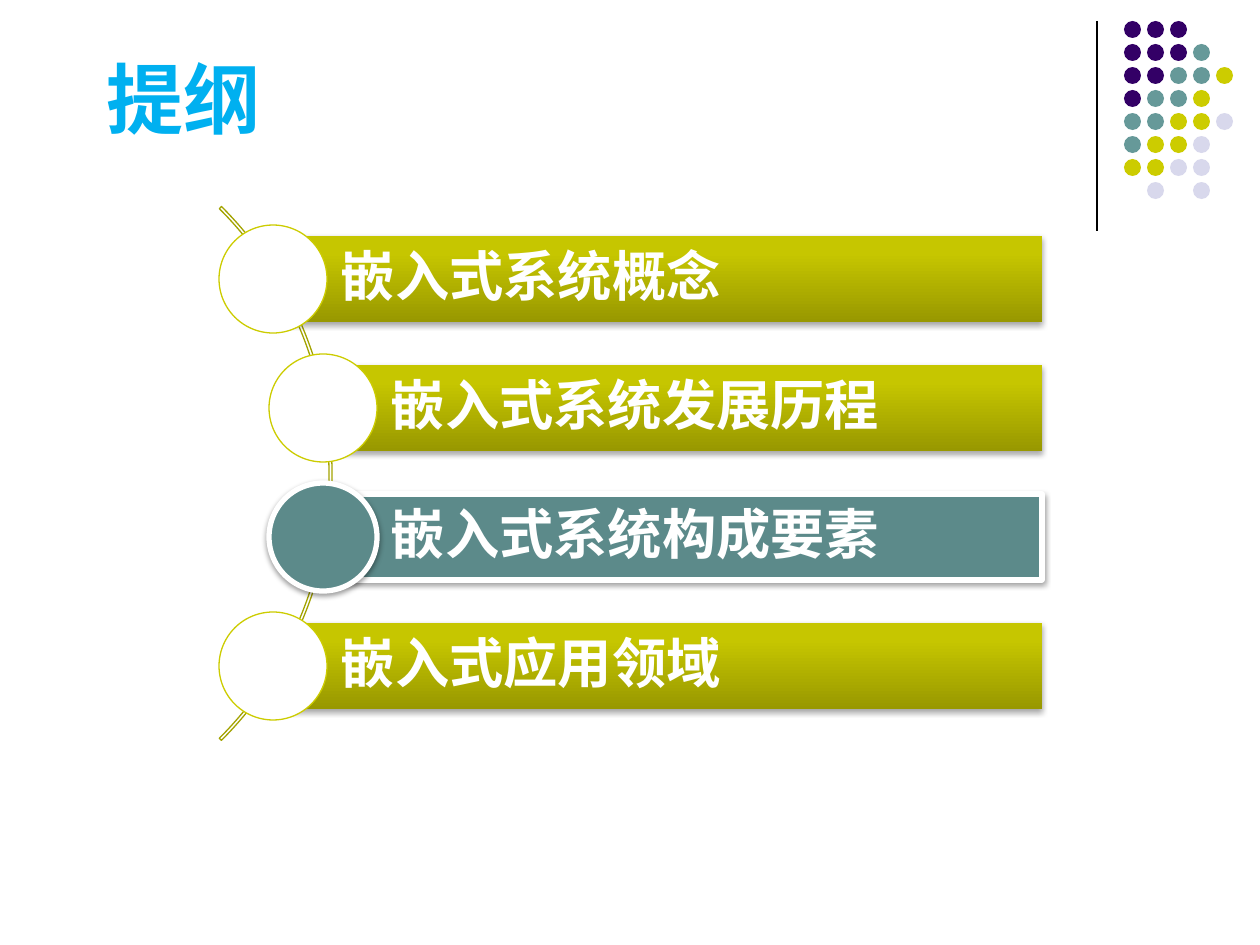
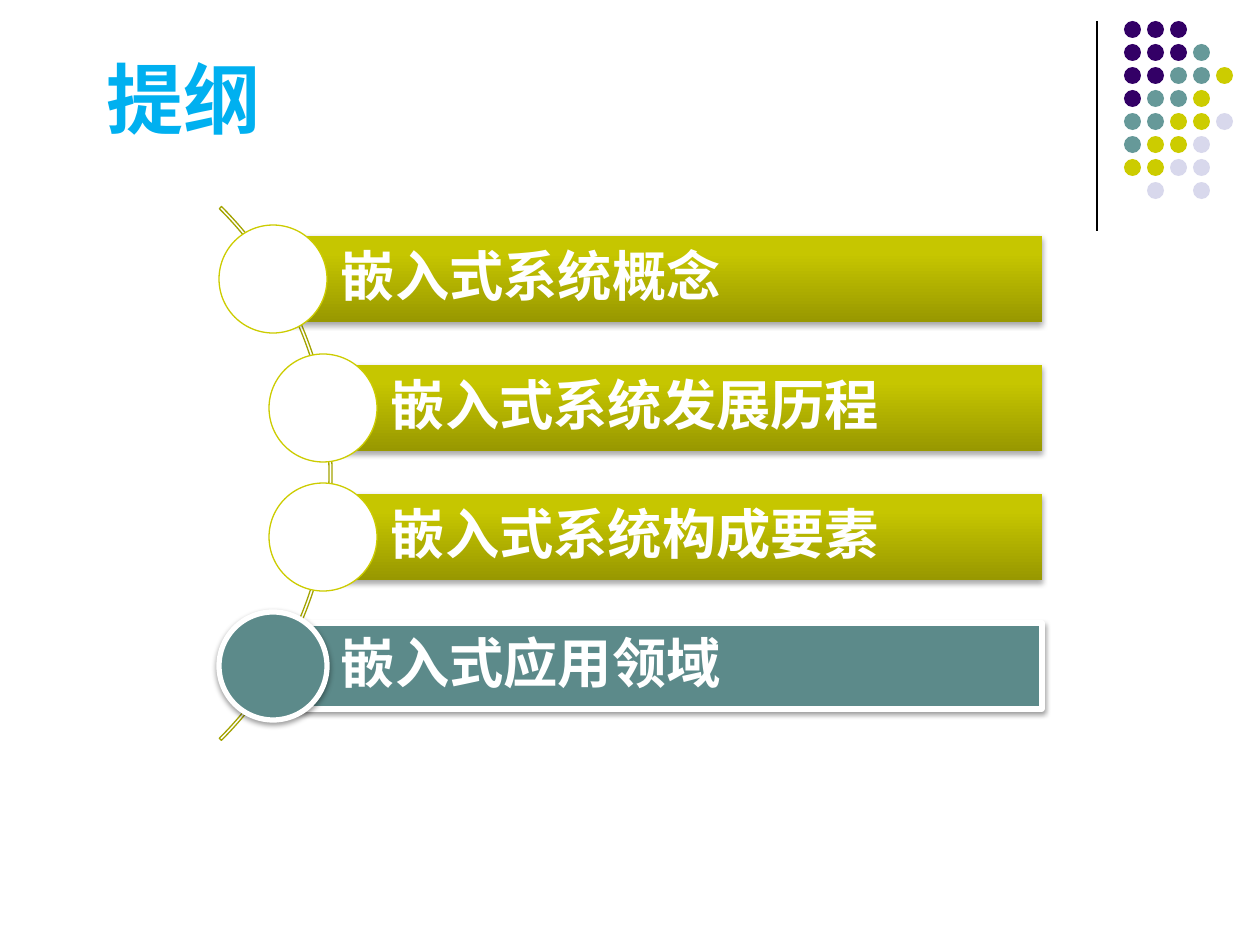
from dataclasses import dataclass
from typing import Optional

import pptx
import pptx.dml.color
import pptx.enum.shapes
import pptx.enum.text
import pptx.oxml.ns
import pptx.util
from lxml import etree

RGBColor = pptx.dml.color.RGBColor
MSO_SHAPE = pptx.enum.shapes.MSO_SHAPE
qn = pptx.oxml.ns.qn

EMU_PER_PX = 914400 / 126

WHITE = RGBColor(0xFF, 0xFF, 0xFF)
BLACK = RGBColor(0x00, 0x00, 0x00)
TITLE_BLUE = RGBColor(0x00, 0xB0, 0xF0)
PURPLE = RGBColor(0x33, 0x00, 0x66)
TEAL = RGBColor(0x66, 0x99, 0x99)
LIME = RGBColor(0xCC, 0xCC, 0x00)
LAVENDER = RGBColor(0xD8, 0xD8, 0xEC)
CURRENT_TEAL = RGBColor(0x5C, 0x8A, 0x8A)
ARC_OLIVE = RGBColor(0xA3, 0xA3, 0x00)
BAR_GRADIENT = (
    (0, RGBColor(0x98, 0x98, 0x00)),
    (80, RGBColor(0xC6, 0xC6, 0x00)),
    (100, RGBColor(0xC7, 0xC7, 0x00)),
)

LATIN_FONT = "Calibri"
CJK_FONT = "Noto Sans CJK SC"

DOT_COLORS = {"P": PURPLE, "T": TEAL, "L": LIME, "V": LAVENDER}
DOT_ROWS = ("PPP", "PPPT", "PPTTL", "PTTL", "TTLLV", "TLLV", "LLVV", ".V.V")
DOT_LEFT, DOT_TOP, DOT_PITCH, DOT_SIZE = 1124, 21, 23, 17

BAR_TOP, BAR_PITCH, BAR_HEIGHT, BAR_RIGHT = 236, 129, 86, 1042
MARKER_SIZE = 108


@dataclass(frozen=True)
class Topic:
    label: str
    left: int


@dataclass(frozen=True)
class Shadow:
    opacity: int
    distance: int  # EMU
    blur: int = 40000  # EMU


TOPICS = (
    Topic("嵌入式系统概念", 273),
    Topic("嵌入式系统发展历程", 323),
    Topic("嵌入式系统构成要素", 323),
    Topic("嵌入式应用领域", 273),
)
CURRENT_TOPICS = (2, 3)
BAR_SHADOW = Shadow(35, 23000)
CURRENT_SHADOW = Shadow(38, 20000)


def px(length: int) -> pptx.util.Emu:
    return pptx.util.Emu(round(length * EMU_PER_PX))


def add_color(parent, color: RGBColor):
    return etree.SubElement(parent, qn("a:srgbClr"), val=str(color))


def add_figure(slide, kind, left: int, top: int, width: int, height: int,
               fill: Optional[RGBColor] = None, line: Optional[RGBColor] = None,
               line_width: float = 0.75, shadow: Optional[Shadow] = None):
    figure = slide.shapes.add_shape(kind, px(left), px(top), px(width), px(height))
    if fill is None:
        figure.fill.background()
    else:
        figure.fill.solid()
        figure.fill.fore_color.rgb = fill
    if line is None:
        figure.line.fill.background()
    else:
        figure.line.color.rgb = line
        figure.line.width = pptx.util.Pt(line_width)
    figure.shadow.inherit = False
    if shadow:
        effects = figure._element.spPr.find(qn("a:effectLst"))
        outer = etree.SubElement(
            effects, qn("a:outerShdw"), blurRad=str(shadow.blur),
            dist=str(shadow.distance), dir="5400000", rotWithShape="0")
        etree.SubElement(add_color(outer, BLACK), qn("a:alpha"),
                         val=str(shadow.opacity * 1000))
    return figure


def apply_bar_gradient(bar) -> None:
    """Replace the bar's fill with the bottom-to-top olive gradient."""
    bar.fill.gradient()
    gradient = bar._element.spPr.find(qn("a:gradFill"))
    for part in list(gradient):
        gradient.remove(part)
    stops = etree.SubElement(gradient, qn("a:gsLst"))
    for percent, color in BAR_GRADIENT:
        add_color(etree.SubElement(stops, qn("a:gs"), pos=str(percent * 1000)), color)
    etree.SubElement(gradient, qn("a:lin"), ang="16200000", scaled="0")


def set_bold_text(frame, text: str, size: int, color: RGBColor, latin: str) -> None:
    frame.text = text
    frame.word_wrap = True
    paragraph = frame.paragraphs[0]
    paragraph.alignment = pptx.enum.text.PP_ALIGN.LEFT
    run = paragraph.runs[0]
    run.font.size = pptx.util.Pt(size)
    run.font.bold = True
    run.font.color.rgb = color
    run.font.name = latin
    etree.SubElement(run.font._element, qn("a:ea"), typeface=CJK_FONT)


def add_corner_dots(slide) -> None:
    divider = slide.shapes.add_connector(
        pptx.enum.shapes.MSO_CONNECTOR.STRAIGHT, px(1097), px(21), px(1097), px(231))
    divider.line.color.rgb = BLACK
    divider.line.width = pptx.util.Pt(0.75)
    etree.SubElement(divider._element.spPr, qn("a:effectLst"))
    for row, codes in enumerate(DOT_ROWS):
        for column, code in enumerate(codes):
            if code in DOT_COLORS:
                add_figure(slide, MSO_SHAPE.OVAL, DOT_LEFT + column * DOT_PITCH,
                           DOT_TOP + row * DOT_PITCH, DOT_SIZE, DOT_SIZE,
                           DOT_COLORS[code])


def add_title(slide, text: str) -> None:
    title = slide.shapes.add_textbox(px(94), px(45), px(476), px(106))
    set_bold_text(title.text_frame, text, 44, TITLE_BLUE, LATIN_FONT)
    title.text_frame.auto_size = pptx.enum.text.MSO_AUTO_SIZE.SHAPE_TO_FIT_TEXT


def add_arc(slide) -> None:
    arc = add_figure(slide, MSO_SHAPE.BLOCK_ARC, -423, 96, 755, 755, line=ARC_OLIVE)
    for index, value in enumerate((189, 27, 0.004)):
        arc.adjustments[index] = value


def add_topic(slide, topic: Topic, top: int, is_current: bool) -> None:
    bar_place = (topic.left, top, BAR_RIGHT - topic.left, BAR_HEIGHT)
    marker_place = (topic.left - MARKER_SIZE // 2,
                    top + (BAR_HEIGHT - MARKER_SIZE) // 2, MARKER_SIZE, MARKER_SIZE)
    if is_current:
        look = (CURRENT_TEAL, WHITE, 3, CURRENT_SHADOW)
        bar = add_figure(slide, MSO_SHAPE.RECTANGLE, *bar_place, *look)
        add_figure(slide, MSO_SHAPE.OVAL, *marker_place, *look)
    else:
        bar = add_figure(slide, MSO_SHAPE.RECTANGLE, *bar_place, shadow=BAR_SHADOW)
        apply_bar_gradient(bar)
        add_figure(slide, MSO_SHAPE.OVAL, *marker_place, WHITE, LIME)
    frame = bar.text_frame
    set_bold_text(frame, topic.label, 31, WHITE, CJK_FONT)
    frame.paragraphs[0].line_spacing = 0.9
    frame.vertical_anchor = pptx.enum.text.MSO_ANCHOR.MIDDLE
    frame.margin_left = px(68)
    frame.margin_top = frame.margin_right = frame.margin_bottom = px(11)


def add_outline_slide(deck, current: int) -> None:
    slide = deck.slides.add_slide(deck.slide_layouts[6])
    add_corner_dots(slide)
    add_title(slide, "提纲")
    add_arc(slide)
    for index, topic in enumerate(TOPICS):
        add_topic(slide, topic, BAR_TOP + index * BAR_PITCH, index == current)


def main() -> None:
    deck = pptx.Presentation()
    deck.slide_width = px(1260)
    deck.slide_height = px(945)
    for current in CURRENT_TOPICS:
        add_outline_slide(deck, current)
    deck.save("out.pptx")


if __name__ == "__main__":
    main()
